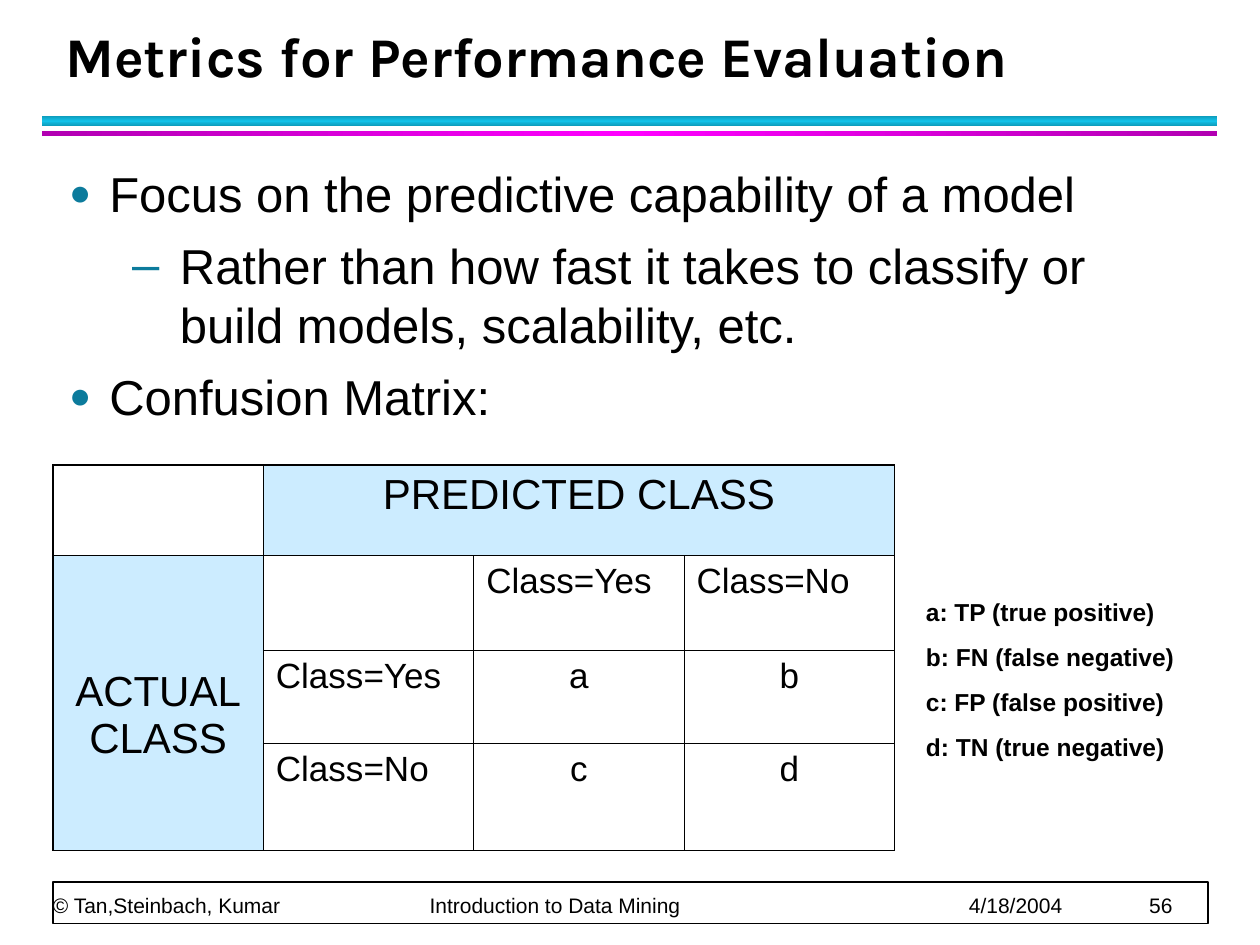
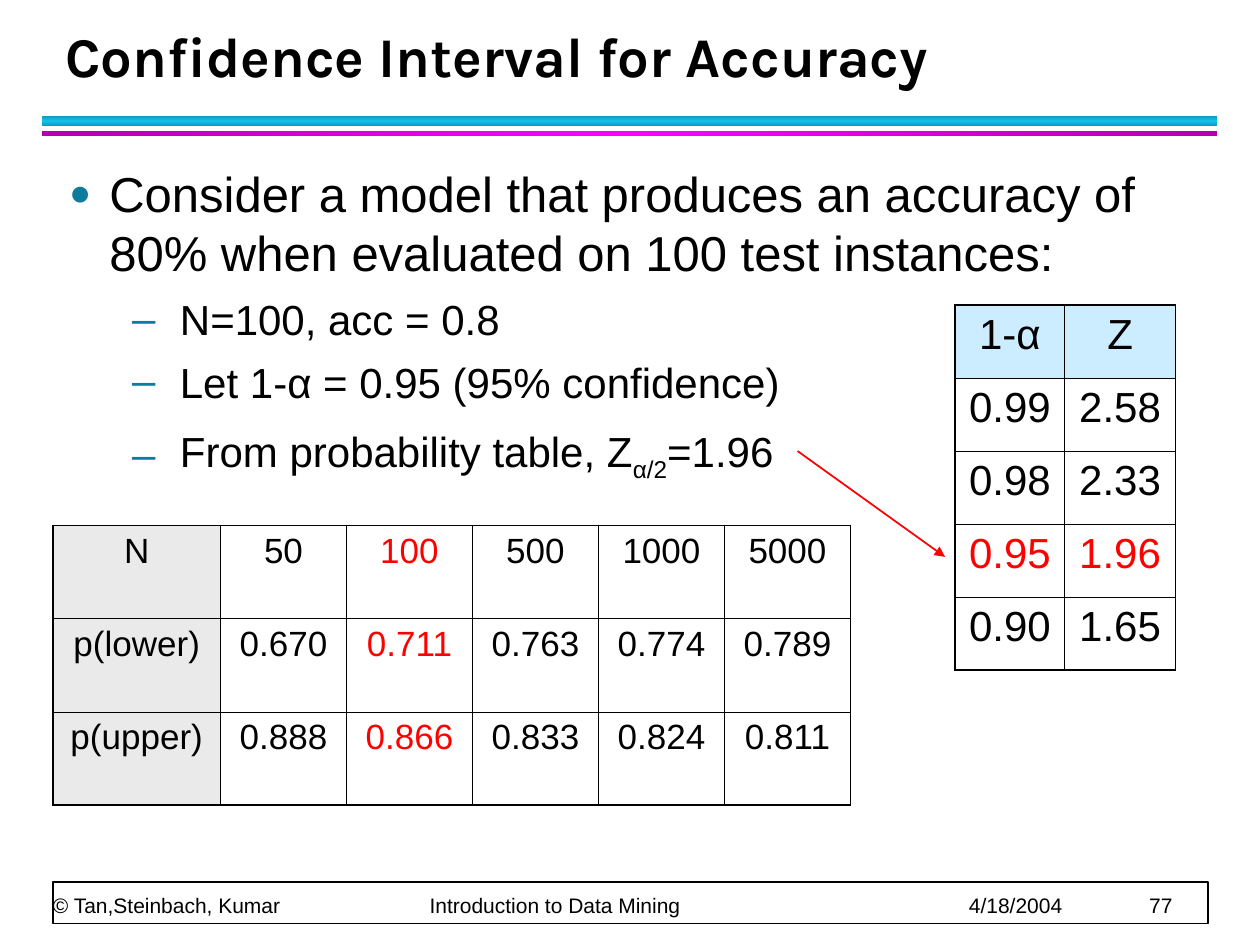
"""Builds two lecture slides on evaluating classification models."""
from copy import deepcopy

from lxml import etree
from pptx import Presentation
from pptx.dml.color import RGBColor
from pptx.enum.shapes import MSO_CONNECTOR, MSO_SHAPE
from pptx.enum.text import MSO_ANCHOR, PP_ALIGN
from pptx.oxml.ns import qn
from pptx.util import Inches, Pt

STRAIGHT = MSO_CONNECTOR.STRAIGHT
RECTANGLE = MSO_SHAPE.RECTANGLE
TOP, MIDDLE, BOTTOM = MSO_ANCHOR.TOP, MSO_ANCHOR.MIDDLE, MSO_ANCHOR.BOTTOM
LEFT, CENTER = PP_ALIGN.LEFT, PP_ALIGN.CENTER

BLACK, WHITE, RED = "000000", "FFFFFF", "FF0000"
BLUE_EDGE, BLUE_MIDDLE = "0E9BBA", "12C2E9"
PINK_EDGE, PINK_MIDDLE = "B200B2", "FF00FF"
BULLET_COLOR, HEADER_BLUE, HEADER_GRAY = "0C7B9C", "CCECFF", "EAEAEA"
TITLE_FONT, BODY_FONT = "Karla", "Arial"
OUTER_BORDER, INNER_BORDER = 1.08, 0.45
FOOTER_TABS = (2.99, 7.27, 8.7)
BULLETS = (("●", 75, 0.32, 0.32), ("–", 100, 0.88, 0.38))


def color(value):
    """Turns a hex string into a colour."""
    return RGBColor.from_string(value)


def add_child(parent, tag, **attributes):
    """Appends a drawing element with the given attributes."""
    return etree.SubElement(parent, qn(tag), {key: str(value) for key, value in attributes.items()})


class SlideBuilder:
    """Holds the shared style and the slide being built."""

    def __init__(self):
        """Starts an empty deck of 10 by 7.5 inches."""
        self.deck = Presentation()
        self.deck.slide_width = Inches(10)
        self.deck.slide_height = Inches(7.5)
        self.slide = None

    def start_slide(self, title, number):
        """Adds a slide with its bands, footer and title."""
        self.slide = self.deck.slides.add_slide(self.deck.slide_layouts[6])
        self.band(0.92, 0.08, BLUE_EDGE, BLUE_MIDDLE, 90)
        self.band(1.04, 0.04, PINK_EDGE, PINK_MIDDLE, 0)
        self.footer(number)
        frame = self.text_box(0.42, 0.17, 9.06, 0.58, BOTTOM)
        paragraph = self.set_text(frame.paragraphs[0], title, 32, font=TITLE_FONT, bold=True)
        paragraph.line_spacing = Pt(36)

    def rectangle(self, left, top, width, height):
        """Adds a plain rectangle without a shadow."""
        shape = self.slide.shapes.add_shape(
            RECTANGLE, Inches(left), Inches(top), Inches(width), Inches(height))
        shape.shadow.inherit = False
        return shape

    def band(self, top, height, edge, middle, angle):
        """Adds a band that shades from edge to middle and back."""
        shape = self.rectangle(0.33, top, 9.33, height)
        shape.line.fill.background()
        shape.fill.gradient()
        shape.fill.gradient_angle = angle
        first, second = shape.fill.gradient_stops
        first.color.rgb, first.position = color(edge), 0
        second.color.rgb, second.position = color(middle), 0.5
        stops = shape._element.spPr.find(".//" + qn("a:gsLst"))
        last = deepcopy(stops[0])
        last.set("pos", "100000")
        stops.append(last)

    def footer(self, number):
        """Adds the framed footer with its four tabbed parts."""
        frame_shape = self.rectangle(0.42, 7, 9.17, 0.33)
        frame_shape.fill.solid()
        frame_shape.fill.fore_color.rgb = color(WHITE)
        frame_shape.line.color.rgb = color(BLACK)
        frame_shape.line.width = Pt(1)
        frame = self.text_box(0.42, 6.72, 9.15, 0.56, BOTTOM, margins=(0, 0))
        paragraph = frame.paragraphs[0]
        paragraph.line_spacing = Pt(20)
        tabs = add_child(paragraph._p.get_or_add_pPr(), "a:tabLst")
        for position in FOOTER_TABS:
            add_child(tabs, "a:tab", pos=Inches(position), algn="l")
        parts = ("© Tan,Steinbach, Kumar", "Introduction to Data Mining", "4/18/2004", str(number))
        self.set_text(paragraph, "\t".join(parts), 12)

    def text_box(self, left, top, width, height, anchor=TOP, margins=(0.1, 0.05)):
        """Adds a wrapping text box and returns its frame."""
        box = self.slide.shapes.add_textbox(
            Inches(left), Inches(top), Inches(width), Inches(height))
        frame = box.text_frame
        frame.word_wrap = True
        frame.vertical_anchor = anchor
        frame.margin_left = frame.margin_right = Inches(margins[0])
        frame.margin_top = frame.margin_bottom = Inches(margins[1])
        return frame

    def set_text(self, paragraph, text, size, ink=BLACK, font=BODY_FONT, bold=False):
        """Fills a paragraph; a tuple gives a base, a subscript and the rest."""
        paragraph.font.name = font
        paragraph.font.size = Pt(size)
        paragraph.font.bold = bold
        paragraph.font.color.rgb = color(ink)
        if isinstance(text, str):
            paragraph.text = text
            return paragraph
        for index, part in enumerate(text):
            span = paragraph.add_run()
            span.text = part
            if index == 1:
                span.font._element.set("baseline", "-25000")
        return paragraph

    def paragraphs(self, frame, count):
        """Yields the given number of paragraphs of a frame with their index."""
        for index in range(count):
            yield index, frame.add_paragraph() if index else frame.paragraphs[0]

    def bullets(self, items):
        """Adds the body list from (level, size, space before, text) items."""
        frame = self.text_box(0.45, 1.25, 9.1, 5.67)
        for index, paragraph in self.paragraphs(frame, len(items)):
            level, size, space_before, text = items[index]
            mark, percent, margin, hanging = BULLETS[level]
            paragraph.level = level
            paragraph.space_before = Pt(space_before if index else 0)
            paragraph.space_after = Pt(4)
            properties = paragraph._p.get_or_add_pPr()
            properties.set("marL", str(Inches(margin)))
            properties.set("indent", str(-Inches(hanging)))
            add_child(add_child(properties, "a:buClr"), "a:srgbClr", val=BULLET_COLOR)
            add_child(properties, "a:buSzPct", val=percent * 1000)
            add_child(properties, "a:buFont", typeface=BODY_FONT)
            add_child(properties, "a:buChar", char=mark)
            self.set_text(paragraph, text, size)

    def legend(self, lines):
        """Adds the bold key beside the confusion matrix."""
        frame = self.text_box(7.25, 4.69, 2.42, 1.4)
        for index, paragraph in self.paragraphs(frame, len(lines)):
            paragraph.space_before = Pt(8.8 if index else 0)
            self.set_text(paragraph, lines[index], 14, bold=True)

    def table(self, left, top, widths, heights):
        """Adds an unfilled table with thick outer and thin inner borders."""
        table = self.slide.shapes.add_table(
            len(heights), len(widths), Inches(left), Inches(top),
            Inches(sum(widths)), Inches(sum(heights))).table
        table.first_row = table.horz_banding = False
        for column, width in zip(table.columns, widths):
            column.width = Inches(width)
        for row, height in zip(table.rows, heights):
            row.height = Inches(height)
        last_row, last_column = len(heights) - 1, len(widths) - 1
        for row in range(len(heights)):
            for column in range(len(widths)):
                cell = table.cell(row, column)
                outer_sides = {"a:lnL": column == 0, "a:lnR": column == last_column,
                               "a:lnT": row == 0, "a:lnB": row == last_row}
                for side, outer in outer_sides.items():
                    width = Pt(OUTER_BORDER if outer else INNER_BORDER)
                    line = add_child(cell._tc.get_or_add_tcPr(), side, w=width)
                    add_child(add_child(line, "a:solidFill"), "a:srgbClr", val=BLACK)
                cell.fill.background()
        return table

    def cell(self, cell, text, size, align=CENTER, fill=None, ink=BLACK):
        """Fills one table cell."""
        paragraph = cell.text_frame.paragraphs[0]
        paragraph.alignment = align
        paragraph.space_after = Pt(4)
        self.set_text(paragraph, text, size, ink)
        if fill:
            cell.fill.solid()
            cell.fill.fore_color.rgb = color(fill)

    def arrow(self, start, end):
        """Adds a thin red arrow between two points."""
        points = [Inches(value) for value in (*start, *end)]
        connector = self.slide.shapes.add_connector(STRAIGHT, *points)
        connector.line.color.rgb = color(RED)
        connector.line.width = Pt(1)
        add_child(connector.line._get_or_add_ln(), "a:tailEnd", type="triangle")
        add_child(connector._element.spPr, "a:effectLst")


def build_metrics_slide(builder):
    """Builds the slide with the confusion matrix."""
    builder.start_slide("Metrics for Performance Evaluation", 56)
    builder.bullets([
        (0, 28, 3.5, "Focus on the predictive capability of a model"),
        (1, 28, 3.5, "Rather than how fast it takes to classify or build models, scalability, etc."),
        (0, 28, 3.5, "Confusion Matrix:"),
    ])
    matrix = builder.table(0.42, 3.69, [1.67] * 4, [0.72, 0.75, 0.74, 0.85])
    predicted, actual = matrix.cell(0, 1), matrix.cell(1, 0)
    predicted.merge(matrix.cell(0, 3))
    actual.merge(matrix.cell(3, 0))
    builder.cell(predicted, "PREDICTED CLASS", 24, fill=HEADER_BLUE)
    builder.cell(actual, "ACTUAL\vCLASS", 24, fill=HEADER_BLUE)
    actual.vertical_anchor = MIDDLE
    actual.margin_top = Inches(0.25)
    for index, label in enumerate(("Class=Yes", "Class=No")):
        builder.cell(matrix.cell(1, index + 2), label, 20, LEFT)
        builder.cell(matrix.cell(index + 2, 1), label, 20, LEFT)
    for index, letter in enumerate("abcd"):
        row, column = divmod(index, 2)
        builder.cell(matrix.cell(row + 2, column + 2), letter, 20)
    builder.legend(["a: TP (true positive)", "b: FN (false negative)",
                    "c: FP (false positive)", "d: TN (true negative)"])


def build_confidence_slide(builder):
    """Builds the slide with the Z values and accuracy bounds."""
    builder.start_slide("Confidence Interval for Accuracy", 77)
    builder.bullets([
        (0, 28, 0, "Consider a model that produces an accuracy of 80% "
                   "when evaluated on 100 test instances:"),
        (1, 24, 3, "N=100, acc = 0.8"),
        (1, 24, 3, "Let 1-α = 0.95 (95% confidence)"),
        (1, 24, 7, ("From probability table, Z", "α/2", "=1.96")),
    ])
    z_values = [("1-α", "Z"), ("0.99", "2.58"), ("0.98", "2.33"), ("0.95", "1.96"), ("0.90", "1.65")]
    z_table = builder.table(7.58, 2.42, [0.87, 0.88], [0.58] * 5)
    for row, values in enumerate(z_values):
        for column, value in enumerate(values):
            builder.cell(z_table.cell(row, column), value, 24,
                         fill=None if row else HEADER_BLUE, ink=RED if row == 3 else BLACK)
    builder.arrow((6.33, 3.58), (7.5, 4.42))
    bounds = [
        ("N", "50", "100", "500", "1000", "5000"),
        ("p(lower)", "0.670", "0.711", "0.763", "0.774", "0.789"),
        ("p(upper)", "0.888", "0.866", "0.833", "0.824", "0.811"),
    ]
    bounds_table = builder.table(0.42, 4.17, [1.33] + [1] * 5, [0.74] * 3)
    for row, values in enumerate(bounds):
        for column, value in enumerate(values):
            builder.cell(bounds_table.cell(row, column), value, 20,
                         fill=None if column else HEADER_GRAY, ink=RED if column == 2 else BLACK)


def main():
    """Builds and saves the deck."""
    builder = SlideBuilder()
    build_metrics_slide(builder)
    build_confidence_slide(builder)
    builder.deck.save("out.pptx")


if __name__ == "__main__":
    main()
